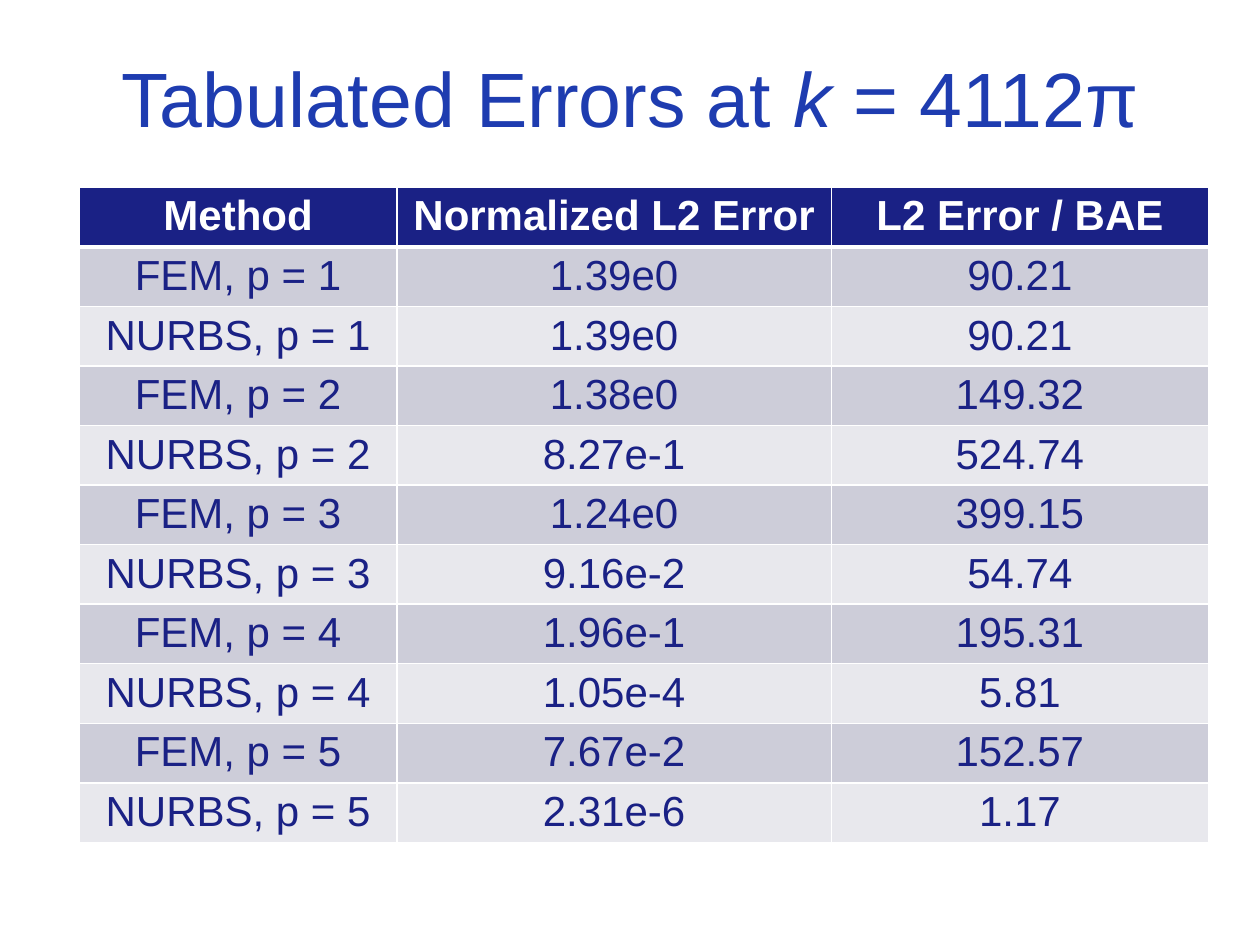
from lxml.etree import SubElement
from pptx import Presentation
from pptx.dml.color import RGBColor
from pptx.enum.text import MSO_ANCHOR, PP_ALIGN
from pptx.oxml.ns import qn
from pptx.util import Cm, Pt

TITLE_BLUE = RGBColor(0x1E, 0x3C, 0xB0)
NAVY = RGBColor(0x1A, 0x21, 0x85)
WHITE = RGBColor(0xFF, 0xFF, 0xFF)
DARK_BAND = RGBColor(0xCD, 0xCD, 0xD9)
LIGHT_BAND = RGBColor(0xE8, 0xE8, 0xED)

COLUMN_WIDTHS = (6.4, 8.76, 7.6)
ROW_HEIGHT = 1.2
HEADER = ("Method", "Normalized L2 Error", "L2 Error / BAE")
ERRORS = (
    ("FEM, p = 1", "1.39e0", "90.21"),
    ("NURBS, p = 1", "1.39e0", "90.21"),
    ("FEM, p = 2", "1.38e0", "149.32"),
    ("NURBS, p = 2", "8.27e-1", "524.74"),
    ("FEM, p = 3", "1.24e0", "399.15"),
    ("NURBS, p = 3", "9.16e-2", "54.74"),
    ("FEM, p = 4", "1.96e-1", "195.31"),
    ("NURBS, p = 4", "1.05e-4", "5.81"),
    ("FEM, p = 5", "7.67e-2", "152.57"),
    ("NURBS, p = 5", "2.31e-6", "1.17"),
)


def add_text(paragraph, text, size=24, color=NAVY, bold=False, italic=False):
    """Append a formatted run to a centred paragraph."""
    paragraph.alignment = PP_ALIGN.CENTER
    run = paragraph.add_run()
    run.text = text
    font = run.font
    font.name = "Arial"
    font.size = Pt(size)
    font.color.rgb = color
    font.bold = bold
    font.italic = italic


def set_borders(cell, top=1, bottom=1):
    """Draw white lines of the given widths around a cell."""
    properties = cell._tc.get_or_add_tcPr()
    for edge, width in (("L", 1), ("R", 1), ("T", top), ("B", bottom)):
        line = SubElement(properties, qn(f"a:ln{edge}"), w=str(Pt(width)))
        fill = SubElement(line, qn("a:solidFill"))
        SubElement(fill, qn("a:srgbClr"), val=str(WHITE))


def fill_title(slide, left, top, width, height):
    """Place and fill the slide title."""
    title = slide.shapes.title
    title.left, title.top = Cm(left), Cm(top)
    title.width, title.height = Cm(width), Cm(height)
    title.text_frame.vertical_anchor = MSO_ANCHOR.MIDDLE
    paragraph = title.text_frame.paragraphs[0]
    for text, italic in (("Tabulated Errors at ", False), ("k", True), (" = 4112π", False)):
        add_text(paragraph, text, size=44, color=TITLE_BLUE, italic=italic)


def add_error_table(slide, left, top):
    """Add the banded table of errors for each method."""
    rows = (HEADER, *ERRORS)
    table = slide.shapes.add_table(
        len(rows), len(HEADER), Cm(left), Cm(top),
        Cm(sum(COLUMN_WIDTHS)), Cm(ROW_HEIGHT * len(rows)),
    ).table
    for column, width in zip(table.columns, COLUMN_WIDTHS):
        column.width = Cm(width)
    for row_index, values in enumerate(rows):
        table.rows[row_index].height = Cm(ROW_HEIGHT)
        is_header = row_index == 0
        band = DARK_BAND if row_index % 2 else LIGHT_BAND
        for column_index, value in enumerate(values):
            cell = table.cell(row_index, column_index)
            set_borders(cell, top=3 if row_index == 1 else 1, bottom=3 if is_header else 1)
            cell.fill.solid()
            cell.fill.fore_color.rgb = NAVY if is_header else band
            cell.margin_top = cell.margin_bottom = Cm(0.11)
            add_text(cell.text_frame.paragraphs[0], value,
                     color=WHITE if is_header else NAVY, bold=is_header)


def main():
    """Build and save the presentation."""
    presentation = Presentation()
    presentation.slide_width, presentation.slide_height = Cm(25.4), Cm(19.05)
    slide = presentation.slides.add_slide(presentation.slide_layouts[5])
    fill_title(slide, 1.27, 0.36, 22.86, 3.18)
    add_error_table(slide, 1.6, 3.78)
    presentation.save("out.pptx")


if __name__ == "__main__":
    main()
